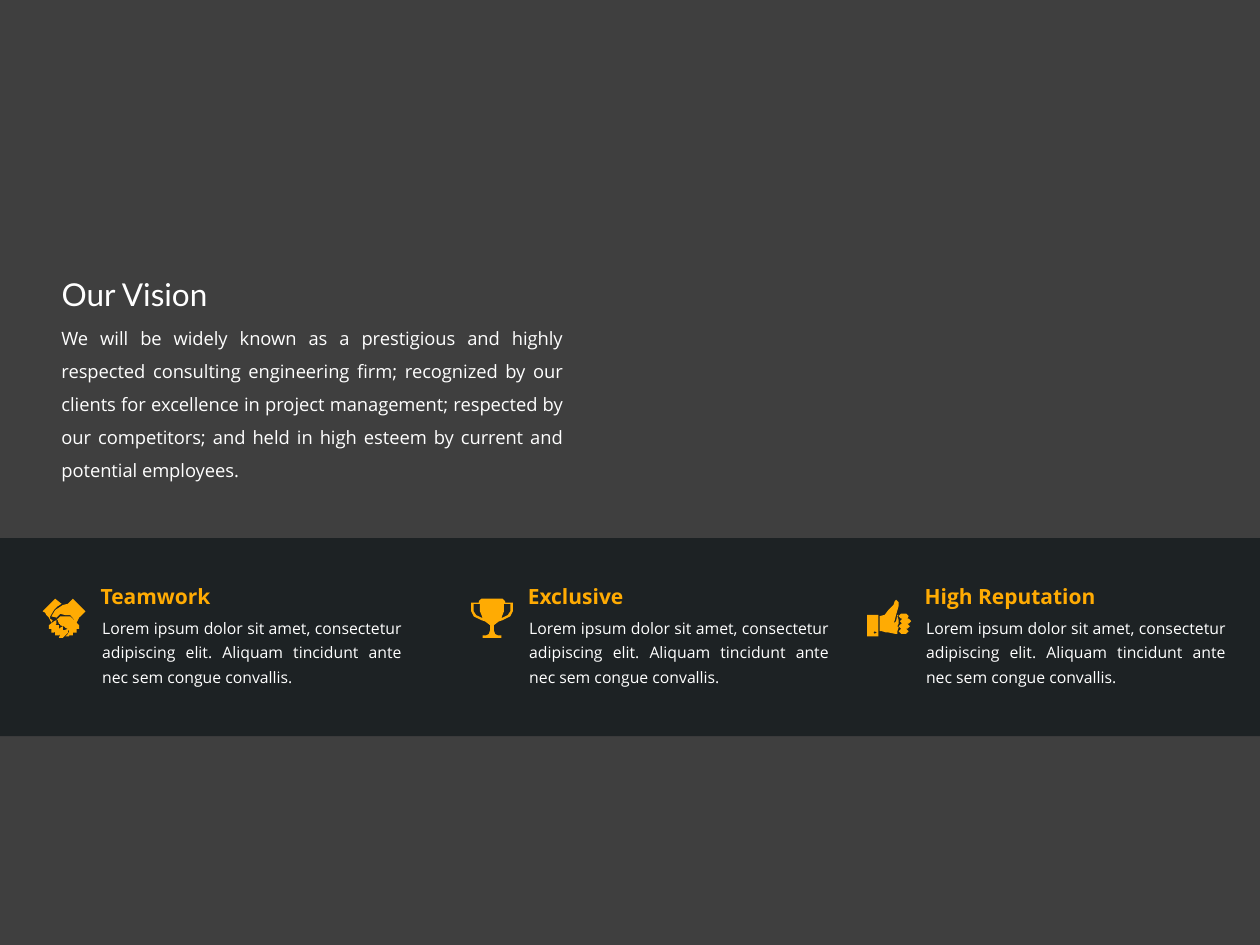
from dataclasses import dataclass

from lxml.etree import SubElement
from pptx import Presentation
from pptx.dml.color import RGBColor as RGB
from pptx.enum.shapes import MSO_SHAPE as Shape
from pptx.enum.text import MSO_ANCHOR as Anchor
from pptx.enum.text import MSO_AUTO_SIZE as AutoSize
from pptx.enum.text import PP_ALIGN as Align
from pptx.oxml.ns import qn
from pptx.util import Cm, Pt

Points = list[tuple[int, int]]


@dataclass(frozen=True)
class Theme:
    background: RGB = RGB(0x3F, 0x3F, 0x3F)
    band: RGB = RGB(0x18, 0x1E, 0x20)
    accent: RGB = RGB(0xFF, 0xAB, 0x03)
    text: RGB = RGB(0xFF, 0xFF, 0xFF)
    title_font: str = "Lato"
    body_font: str = "Open Sans"
    title_size: float = 18
    vision_size: float = 10.5
    heading_size: float = 12
    body_size: float = 9


@dataclass(frozen=True)
class Style:
    size: float
    color: RGB
    font: str
    bold: bool = False
    align: Align = Align.LEFT
    spacing: float = 1.0


@dataclass(frozen=True)
class Box:
    left: float
    top: float
    width: float
    height: float

    def lengths(self) -> tuple[Cm, Cm, Cm, Cm]:
        return Cm(self.left), Cm(self.top), Cm(self.width), Cm(self.height)


@dataclass(frozen=True)
class Value:
    heading: str
    left: float
    icon: list[Points]
    icon_left: float
    icon_top: float


THEME = Theme()
TITLE = Style(THEME.title_size, THEME.text, THEME.title_font)
VISION = Style(THEME.vision_size, THEME.text, THEME.body_font,
               align=Align.JUSTIFY, spacing=1.5)
HEADING = Style(THEME.heading_size, THEME.accent, THEME.body_font, bold=True)
BODY = Style(THEME.body_size, THEME.text, THEME.body_font,
             align=Align.JUSTIFY, spacing=1.3)

VISION_TEXT = (
    "We will be widely known as a prestigious and highly respected consulting "
    "engineering firm; recognized by our clients for excellence in project "
    "management; respected by our competitors; and held in high esteem by "
    "current and potential employees."
)
VALUE_TEXT = (
    "Lorem ipsum dolor sit amet, consectetur adipiscing elit. "
    "Aliquam tincidunt ante nec sem congue convallis."
)

ICON_UNIT = Cm(0.0254)
CUP_WIDTH = 33


def mirrored(points: Points) -> Points:
    """Reflect points in the cup's vertical axis, keeping the outline's order."""
    return [(CUP_WIDTH - x, y) for x, y in reversed(points)]


HANDSHAKE = [
    [(5, 15), (4, 14), (3, 13), (2, 11), (0, 10), (10, 0), (15, 4), (12, 6),
     (9, 9), (6, 14), (6, 16), (8, 17), (7, 19), (6, 17)],
    [(22, 14), (14, 14), (12, 16), (11, 16), (12, 17), (13, 20), (14, 20),
     (14, 21), (17, 22), (18, 23), (20, 24), (21, 26), (20, 28), (18, 30),
     (21, 30), (21, 29), (24, 29), (24, 27), (27, 27), (27, 24), (29, 24),
     (29, 21)],
    [(20, 24), (17, 25), (16, 25), (16, 22), (14, 23), (13, 24), (13, 21),
     (10, 21), (11, 20), (11, 17), (9, 18), (5, 21), (5, 24), (7, 24), (7, 25),
     (7, 27), (9, 27), (10, 26), (10, 29), (13, 29), (14, 28), (13, 31),
     (16, 31), (20, 27)],
    [(24, 0), (20, 4), (16, 5), (10, 9), (7, 14), (11, 15), (14, 12), (18, 13),
     (22, 13), (27, 19), (29, 15), (30, 14), (34, 10)],
]
CUP_SIDE = [(8, 0), (7, 1), (6, 2), (6, 3), (0, 3), (0, 10), (2, 14), (8, 17),
            (11, 18), (15, 21), (15, 25), (14, 28), (12, 29), (9, 29), (9, 31)]
CUP_HANDLE = [(8, 15), (4, 13), (2, 10), (2, 4), (7, 4), (7, 10), (9, 15)]
CUP = [CUP_SIDE + mirrored(CUP_SIDE), CUP_HANDLE, mirrored(CUP_HANDLE)]
THUMB = [
    [(24, 25), (24, 27), (22, 27), (17, 26), (15, 26), (12, 25), (10, 25),
     (10, 13), (14, 12), (17, 8), (21, 4), (22, 1), (23, 0), (25, 2), (25, 5),
     (23, 12), (22, 16), (21, 19), (23, 17), (24, 12), (25, 12), (24, 13),
     (25, 16), (25, 19), (24, 21), (25, 22)],
    [(35, 17), (33, 15), (32, 15), (33, 13), (31, 11), (27, 11), (25, 13),
     (27, 15), (28, 15), (26, 17), (28, 19), (27, 19), (25, 21), (27, 23),
     (25, 25), (27, 27), (31, 27), (33, 25), (31, 23), (32, 23), (34, 21),
     (32, 19), (33, 19)],
    [(0, 12), (9, 12), (9, 29), (0, 29)],
    [(5, 26), (6, 27), (8, 26), (6, 25)],
]

VALUES = [
    Value("Teamwork", 1.78, HANDSHAKE, 0.86, 12.07),
    Value("Exclusive", 10.39, CUP, 9.5, 12.07),
    Value("High Reputation", 18.39, THUMB, 17.48, 12.09),
]


def write(tf, text: str, style: Style) -> None:
    tf.word_wrap = True
    tf.text = text
    p = tf.paragraphs[0]
    p.alignment = style.align
    p.line_spacing = style.spacing
    font = p.runs[0].font
    font.name, font.size, font.bold = style.font, Pt(style.size), style.bold
    font.color.rgb = style.color


def add_text(slide, box: Box, text: str, style: Style):
    tf = slide.shapes.add_textbox(*box.lengths()).text_frame
    write(tf, text, style)
    return tf


def paint(sp, color: RGB) -> None:
    sp.shadow.inherit = False
    sp.fill.solid()
    sp.fill.fore_color.rgb = color
    sp.line.fill.background()


def add_title(slide) -> None:
    sp = slide.shapes.title
    sp.left, sp.top, sp.width, sp.height = Box(0.99, 5.41, 8.26, 1.02).lengths()
    tf = sp.text_frame
    write(tf, "Our Vision", TITLE)
    tf.auto_size = AutoSize.SHAPE_TO_FIT_TEXT
    tf.vertical_anchor = Anchor.TOP


def add_band(slide) -> None:
    sp = slide.shapes.add_shape(Shape.RECTANGLE, *Box(0, 10.85, 25.4, 3.99).lengths())
    paint(sp, THEME.band)
    color = sp.fill._xPr.find(qn("a:solidFill"))[0]
    SubElement(color, qn("a:alpha"), val="85000")


def add_icon(slide, value: Value) -> None:
    first, *others = value.icon
    builder = slide.shapes.build_freeform(*first[0], scale=ICON_UNIT)
    builder.add_line_segments(first[1:], close=True)
    for outline in others:
        builder.move_to(*outline[0])
        builder.add_line_segments(outline[1:], close=True)
    paint(builder.convert_to_shape(Cm(value.icon_left), Cm(value.icon_top)),
          THEME.accent)


def add_value(slide, value: Value) -> None:
    heading = add_text(slide, Box(value.left, 11.76, 5.08, 0.51), value.heading, HEADING)
    heading.margin_top = heading.margin_bottom = 0
    body = add_text(slide, Box(value.left + 0.03, 12.22, 6.53, 1.75), VALUE_TEXT, BODY)
    for tf in (heading, body):
        tf.vertical_anchor = Anchor.MIDDLE
        tf.auto_size = AutoSize.SHAPE_TO_FIT_TEXT
    add_icon(slide, value)


def main() -> None:
    prs = Presentation()
    prs.slide_width, prs.slide_height = Cm(25.4), Cm(19.05)
    slide = prs.slides.add_slide(prs.slide_layouts[5])
    slide.background.fill.solid()
    slide.background.fill.fore_color.rgb = THEME.background
    add_title(slide)
    add_text(slide, Box(0.99, 6.25, 10.62, 3.18), VISION_TEXT, VISION)
    add_band(slide)
    for value in VALUES:
        add_value(slide, value)
    prs.save("out.pptx")


if __name__ == "__main__":
    main()
